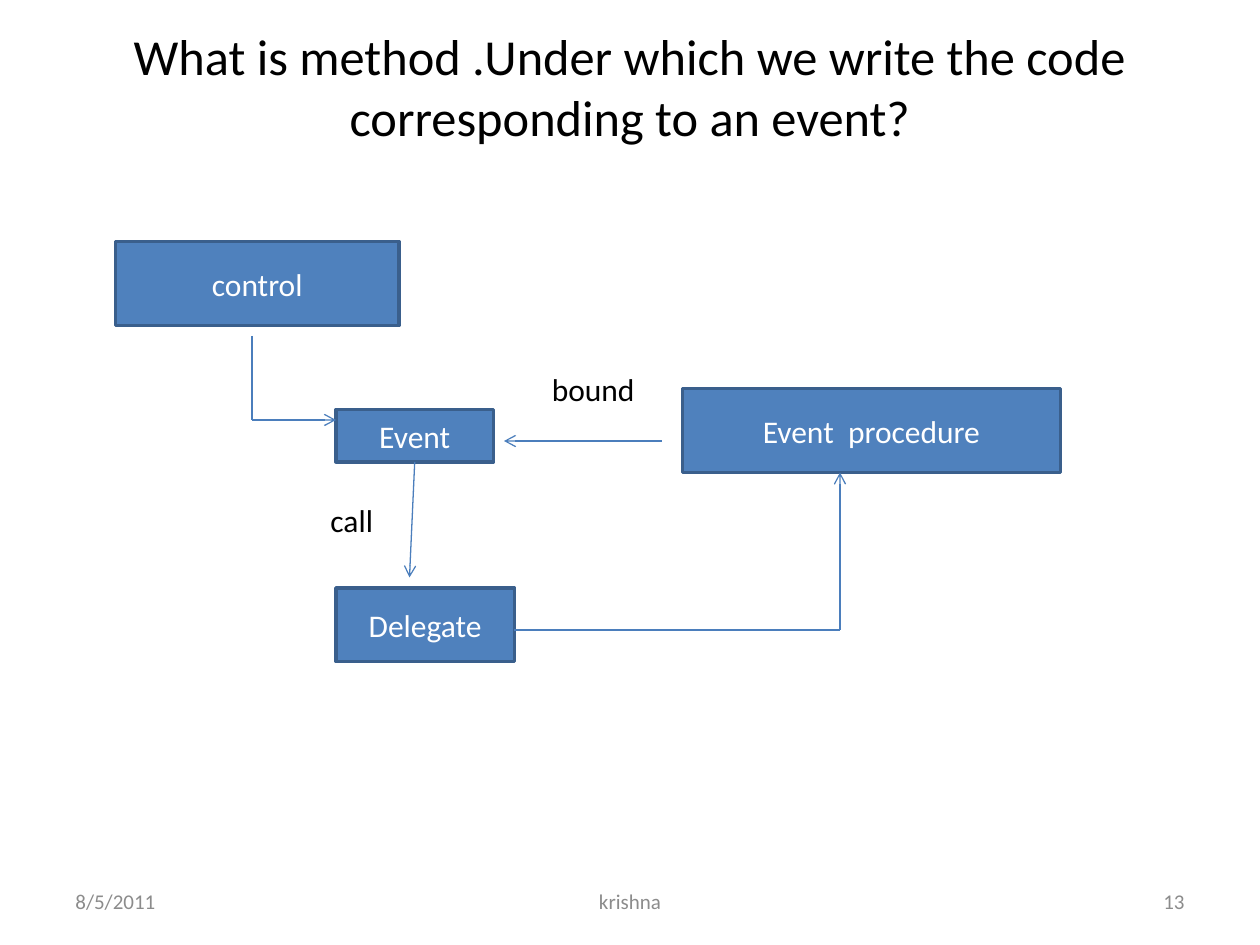
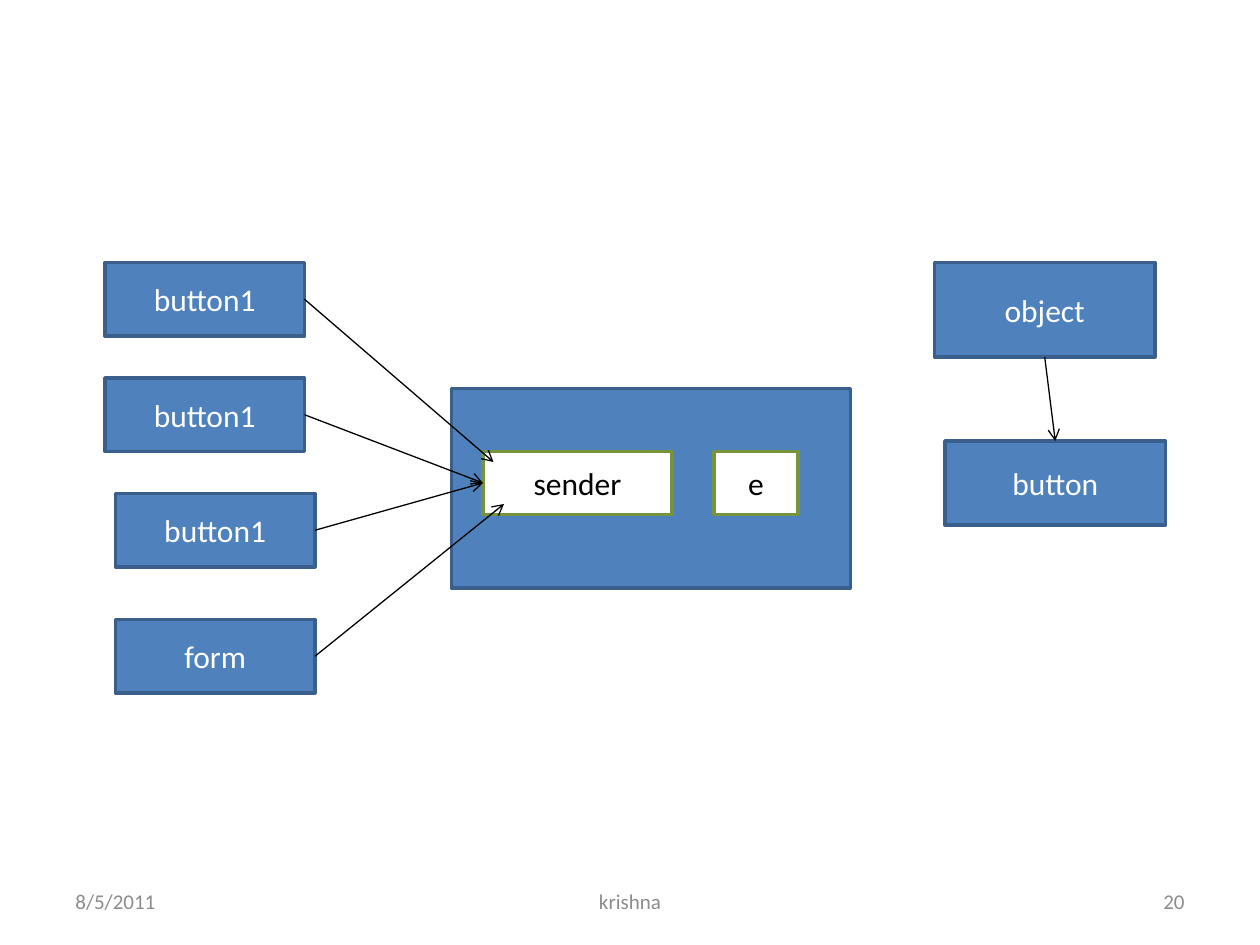
from dataclasses import dataclass

from lxml import etree
from pptx import Presentation
from pptx.dml.color import RGBColor
from pptx.enum.shapes import MSO_CONNECTOR, MSO_SHAPE
from pptx.enum.text import MSO_ANCHOR, MSO_AUTO_SIZE, PP_ALIGN
from pptx.oxml.ns import qn
from pptx.util import Pt

RECTANGLE = MSO_SHAPE.RECTANGLE
STRAIGHT = MSO_CONNECTOR.STRAIGHT
MIDDLE = MSO_ANCHOR.MIDDLE
NO_AUTOFIT = MSO_AUTO_SIZE.NONE
LEFT, CENTER, RIGHT = PP_ALIGN.LEFT, PP_ALIGN.CENTER, PP_ALIGN.RIGHT

EMU_PER_PX = 7620
FONT = "Calibri"
BLACK, WHITE, GREY = "000000", "FFFFFF", "8C8C8C"
BLUE, NAVY, SKY, OLIVE = "4F81BD", "3A5F8C", "4B7EBC", "77933C"
TITLE_ONLY, BLANK = 5, 6
FOOTER_TOP, FOOTER_HEIGHT = 834, 48


@dataclass(frozen=True)
class BoxStyle:
    fill: str
    line: str
    text: str


NODE = BoxStyle(BLUE, NAVY, WHITE)
PARAMETER = BoxStyle(WHITE, OLIVE, BLACK)
LABEL = BoxStyle(WHITE, WHITE, BLACK)


@dataclass(frozen=True)
class Box:
    text: str
    left: int
    top: int
    width: int
    height: int
    style: BoxStyle = NODE


@dataclass(frozen=True)
class Arrow:
    points: tuple
    color: str


def px(value: int) -> int:
    return value * EMU_PER_PX


def rgb(value: str) -> RGBColor:
    return RGBColor.from_string(value)


def write(frame, text: str, size: float, color: str, align=CENTER) -> None:
    frame.word_wrap = True
    frame.auto_size = NO_AUTOFIT
    frame.vertical_anchor = MIDDLE
    para = frame.paragraphs[0]
    para.alignment = align
    span = para.add_run()
    span.text = text
    span.font.name = FONT
    span.font.size = Pt(size)
    span.font.color.rgb = rgb(color)


def draw_box(page, box: Box) -> None:
    shape = page.shapes.add_shape(
        RECTANGLE, px(box.left), px(box.top), px(box.width), px(box.height))
    shape.shadow.inherit = False
    shape.fill.solid()
    shape.fill.fore_color.rgb = rgb(box.style.fill)
    shape.line.color.rgb = rgb(box.style.line)
    shape.line.width = Pt(2)
    if box.text:
        write(shape.text_frame, box.text, 18, box.style.text)


def draw_arrow(page, arrow: Arrow) -> None:
    for start, end in zip(arrow.points, arrow.points[1:]):
        connector = page.shapes.add_connector(
            STRAIGHT, px(start[0]), px(start[1]), px(end[0]), px(end[1]))
        connector.line.color.rgb = rgb(arrow.color)
        connector.line.width = Pt(0.75)
        properties = connector._element.spPr
        etree.SubElement(properties, qn("a:effectLst"))
    etree.SubElement(properties.find(qn("a:ln")), qn("a:tailEnd"), type="arrow")


def draw_title(page, text: str) -> None:
    title = page.shapes.title
    title.left, title.top, title.width, title.height = map(px, (60, 36, 1080, 150))
    write(title.text_frame, text, 28.8, BLACK)
    title.text_frame.margin_bottom = px(64)


def draw_footer(page, number: int) -> None:
    for text, left, width, align in (
            ("8/5/2011", 60, 280, LEFT),
            ("krishna", 410, 380, CENTER),
            (str(number), 860, 280, RIGHT)):
        box = page.shapes.add_textbox(
            px(left), px(FOOTER_TOP), px(width), px(FOOTER_HEIGHT))
        write(box.text_frame, text, 12, GREY, align)


def draw_diagram(page, boxes: list[Box], arrows: list[Arrow]) -> None:
    for box in boxes:
        draw_box(page, box)
    for arrow in arrows:
        draw_arrow(page, arrow)


def build_event_page(deck) -> None:
    page = deck.slides.add_slide(deck.slide_layouts[TITLE_ONLY])
    draw_title(page, "What is method .Under which we write the code "
                     "corresponding to an event?")
    boxes = [
        Box("control", 110, 230, 270, 80),
        Box("Event", 320, 390, 150, 50),
        Box("Event  procedure", 650, 370, 360, 80),
        Box("Delegate", 320, 560, 170, 70),
        Box("bound", 500, 350, 130, 40, LABEL),
        Box("call", 280, 470, 110, 50, LABEL),
    ]
    routes = [
        ((240, 320), (240, 400), (320, 400)),
        ((630, 420), (480, 420)),
        ((395, 440), (390, 550)),
        ((490, 600), (800, 600), (800, 450)),
    ]
    draw_diagram(page, boxes, [Arrow(route, SKY) for route in routes])
    draw_footer(page, 13)


def build_sender_page(deck) -> None:
    page = deck.slides.add_slide(deck.slide_layouts[BLANK])
    sources = [
        Box(text, left, top, 190, 70)
        for text, left, top in (
            ("button1", 100, 250), ("button1", 100, 360),
            ("button1", 110, 470), ("form", 110, 590))
    ]
    targets = [(470, 440), (460, 460), (460, 460), (480, 480)]
    arrows = [
        Arrow(((source.left + source.width, source.top + source.height // 2), target),
              BLACK)
        for source, target in zip(sources, targets)
    ]
    boxes = sources + [
        Box("", 430, 370, 380, 190),
        Box("sender", 460, 430, 180, 60, PARAMETER),
        Box("e", 680, 430, 80, 60, PARAMETER),
        Box("object", 890, 250, 210, 90),
        Box("button", 900, 420, 210, 80),
    ]
    arrows.append(Arrow(((995, 340), (1005, 420)), BLACK))
    draw_diagram(page, boxes, arrows)
    draw_footer(page, 20)


def main() -> None:
    deck = Presentation()
    deck.slide_width, deck.slide_height = px(1200), px(900)
    build_event_page(deck)
    build_sender_page(deck)
    deck.save("out.pptx")


if __name__ == "__main__":
    main()
